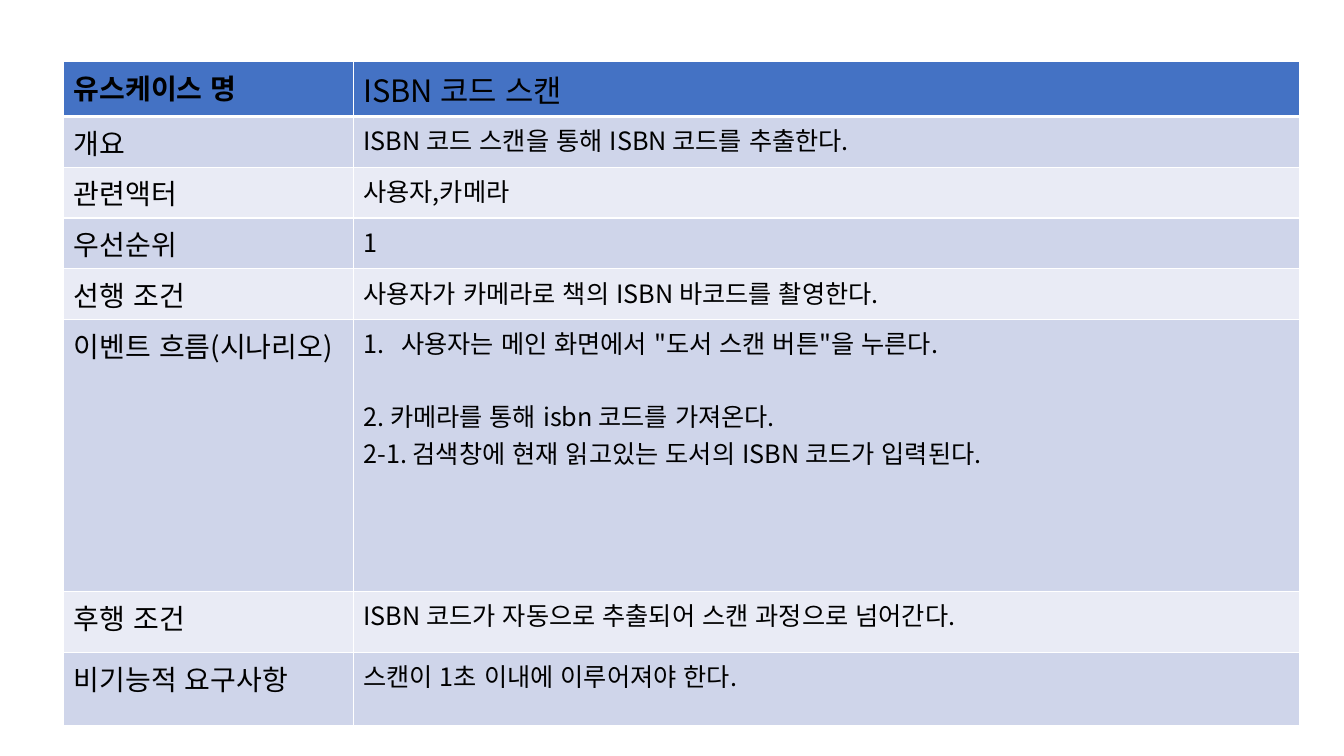
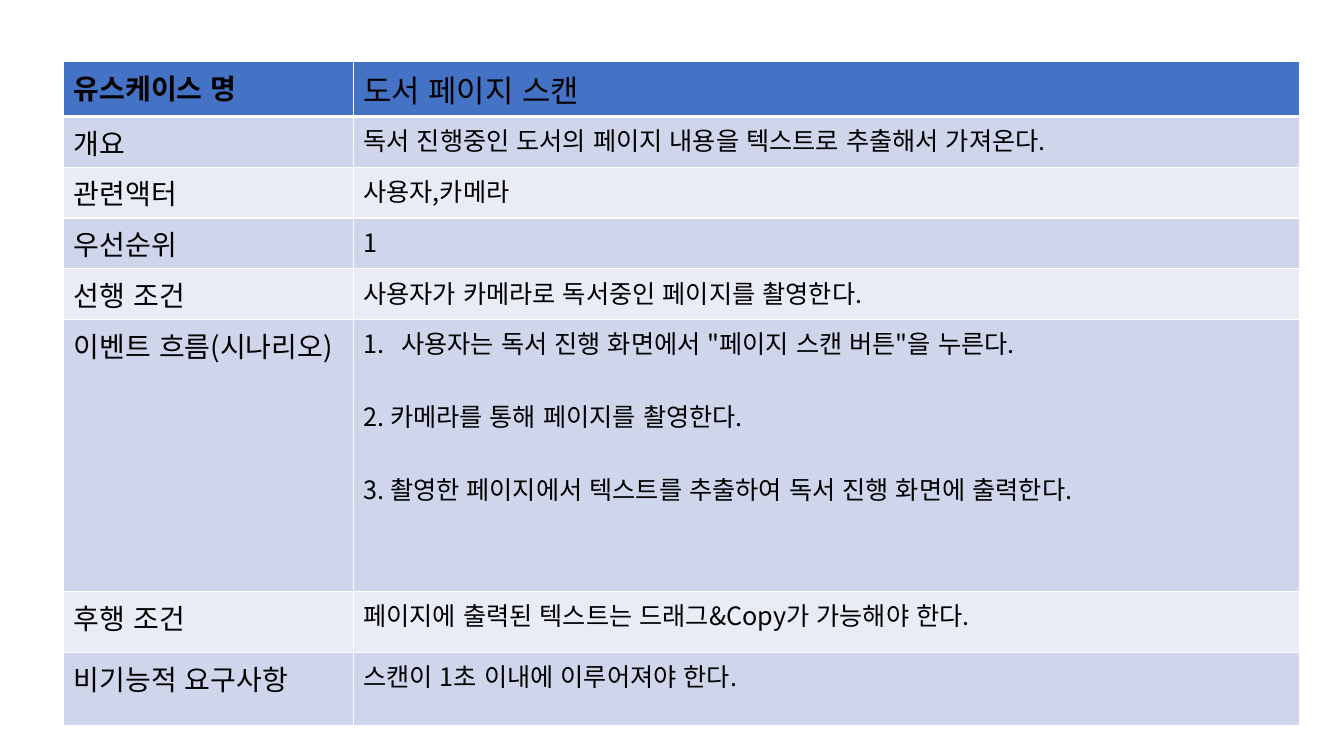
from lxml import etree
from pptx import Presentation
from pptx.dml.color import RGBColor
from pptx.enum.lang import MSO_LANGUAGE_ID
from pptx.oxml.ns import qn
from pptx.util import Pt

KOREAN = MSO_LANGUAGE_ID.KOREAN
FONT = "Noto Sans CJK KR"
BLACK = RGBColor(0, 0, 0)
WHITE = RGBColor(0xFF, 0xFF, 0xFF)
BLUE = RGBColor(0x44, 0x72, 0xC4)
BANDS = [RGBColor(0xE9, 0xEB, 0xF5), RGBColor(0xCF, 0xD5, 0xEA)]
COLS = [206.9, 675.8]
ROWS = [34.6, 30.2, 30.2, 30.2, 30.2, 194.4, 43.5, 52.5]
LINE = 26
INDENT = 27
LABELS = ["유스케이스 명", "개요", "관련액터", "우선순위", "선행 조건",
          "이벤트 흐름(시나리오)", "후행 조건", "비기능적 요구사항"]
FLOW = LABELS.index("이벤트 흐름(시나리오)")
CASES = [
    ["ISBN 코드 스캔",
     "ISBN 코드 스캔을 통해 ISBN 코드를 추출한다.",
     "사용자,카메라",
     "1",
     "사용자가 카메라로 책의 ISBN 바코드를 촬영한다.",
     ['사용자는 메인 화면에서 "도서 스캔 버튼"을 누른다.',
      "2. 카메라를 통해 isbn 코드를 가져온다.",
      "2-1. 검색창에 현재 읽고있는 도서의 ISBN 코드가 입력된다."],
     "ISBN 코드가 자동으로 추출되어 스캔 과정으로 넘어간다.",
     "스캔이 1초 이내에 이루어져야 한다."],
    ["도서 페이지 스캔",
     "독서 진행중인 도서의 페이지 내용을 텍스트로 추출해서 가져온다.",
     "사용자,카메라",
     "1",
     "사용자가 카메라로 독서중인 페이지를 촬영한다.",
     ['사용자는 독서 진행 화면에서 "페이지 스캔 버튼"을 누른다.',
      "2. 카메라를 통해 페이지를 촬영한다.",
      "3. 촬영한 페이지에서 텍스트를 추출하여 독서 진행 화면에 출력한다."],
     "페이지에 출력된 텍스트는 드래그&Copy가 가능해야 한다.",
     "스캔이 1초 이내에 이루어져야 한다."],
]


def write(par, text, size, bold):
    run = par.add_run()
    run.text = text
    look = {"name": FONT, "size": Pt(size), "bold": bold, "language_id": KOREAN}
    for key, value in look.items():
        setattr(run.font, key, value)
    run.font.color.rgb = BLACK
    etree.SubElement(run.font._element, qn("a:ea"), typeface=FONT)


def paint(cell, color, widths):
    props = cell._tc.get_or_add_tcPr()
    for side, width in widths.items():
        line = etree.SubElement(props, qn("a:ln" + side), w=str(Pt(width)))
        fill = etree.SubElement(line, qn("a:solidFill"))
        etree.SubElement(fill, qn("a:srgbClr"), val=str(WHITE))
    cell.fill.solid()
    cell.fill.fore_color.rgb = color


deck = Presentation()
deck.slide_width, deck.slide_height = Pt(960), Pt(540)
blank = deck.slide_layouts[6]

for case in CASES:
    slide = deck.slides.add_slide(blank)
    frame = slide.shapes.add_table(len(ROWS), len(COLS), Pt(45.5), Pt(44.2),
                                   Pt(sum(COLS)), Pt(sum(ROWS)))
    table = frame.table
    for col, width in zip(table.columns, COLS):
        col.width = Pt(width)
    for row, height in zip(table.rows, ROWS):
        row.height = Pt(height)

    for i, (label, body) in enumerate(zip(LABELS, case)):
        head = i == 0
        color = BLUE if head else BANDS[i % 2]
        widths = {"L": 1, "R": 1, "T": 3 if i == 1 else 1, "B": 3 if head else 1}
        name, info = table.cell(i, 0), table.cell(i, 1)
        for cell in (name, info):
            paint(cell, color, widths)
        write(name.text_frame.paragraphs[0], label, 20, head)

        lines = body if i == FLOW else [body]
        text = info.text_frame
        for j, line in enumerate(lines):
            par = text.add_paragraph() if j else text.paragraphs[0]
            write(par, line, 22 if head else 18, False)
            if j and not line.startswith("2-"):
                par.space_before = Pt(LINE)
        if i == FLOW:
            props = text.paragraphs[0]._p.get_or_add_pPr()
            props.set("marL", str(Pt(INDENT)))
            props.set("indent", str(-Pt(INDENT)))
            etree.SubElement(props, qn("a:buAutoNum"), type="arabicPeriod")

deck.save("out.pptx")
